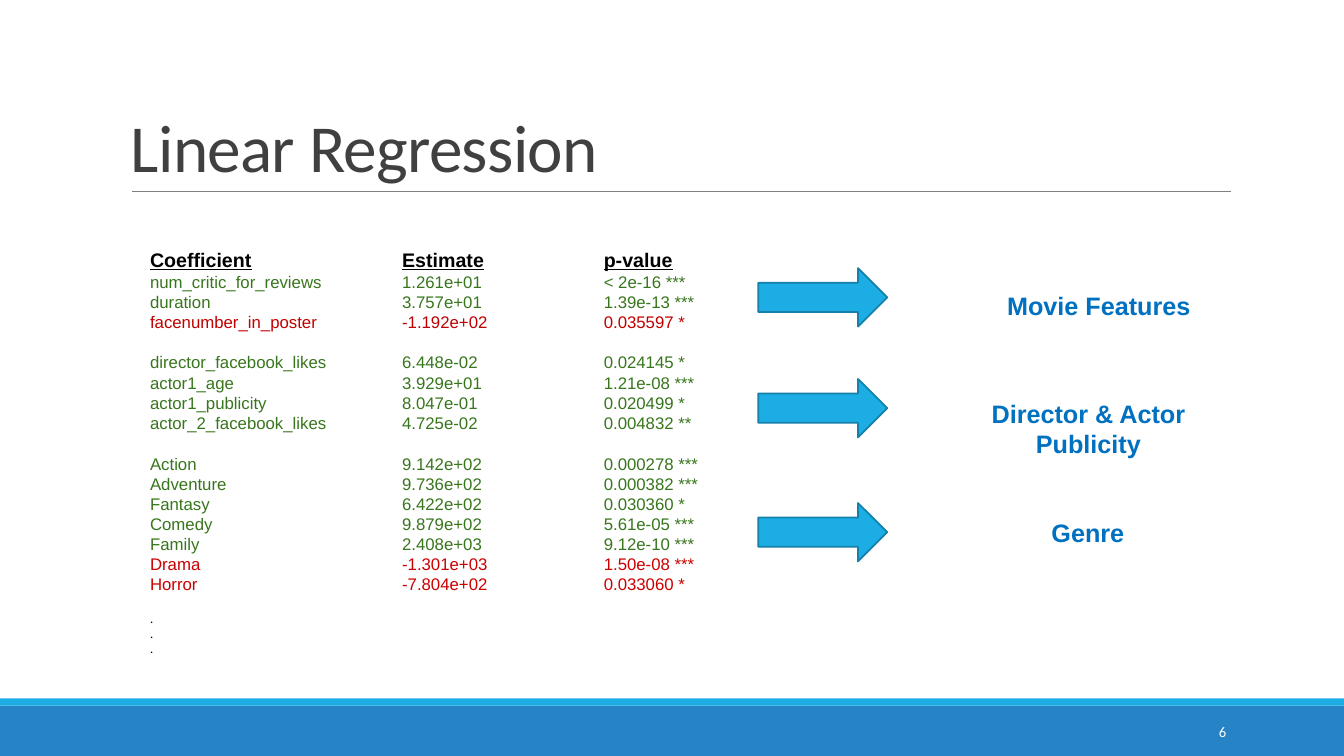
from lxml import etree
from pptx import Presentation
from pptx import util as u
from pptx.dml.color import RGBColor
from pptx.enum import shapes, text
from pptx.oxml import ns

COLORS = {
    "title": "404040", "rule": "808080", "header": "000000",
    "positive": "38761D", "negative": "C00000", "negative_genre": "CC0000",
    "label": "0070C0", "accent": "1CADE4", "accent_edge": "1580A9",
    "footer": "2683C6", "number": "FFFFFF",
}
FORMATS = {
    "title": {"name": "Calibri", "size": u.Pt(48)},
    "header": {"name": "Arial", "size": u.Pt(14), "bold": True, "underline": True},
    "row": {"name": "Arial", "size": u.Pt(12)},
    "dot": {"name": "Calibri", "size": u.Pt(9)},
    "label": {"name": "Arial", "size": u.Pt(18), "bold": True},
    "number": {"name": "Calibri", "size": u.Pt(10.5)},
}
HEADER = ("Coefficient", "Estimate", "p-value")
GROUPS = [
    [("num_critic_for_reviews", "1.261e+01", "< 2e-16 ***"),
     ("duration", "3.757e+01", "1.39e-13 ***"),
     ("facenumber_in_poster", "-1.192e+02", "0.035597 *")],
    [("director_facebook_likes", "6.448e-02", "0.024145 *"),
     ("actor1_age", "3.929e+01", "1.21e-08 ***"),
     ("actor1_publicity", "8.047e-01", "0.020499 *"),
     ("actor_2_facebook_likes", "4.725e-02", "0.004832 **")],
    [("Action", "9.142e+02", "0.000278 ***"),
     ("Adventure", "9.736e+02", "0.000382 ***"),
     ("Fantasy", "6.422e+02", "0.030360 *"),
     ("Comedy", "9.879e+02", "5.61e-05 ***"),
     ("Family", "2.408e+03", "9.12e-10 ***"),
     ("Drama", "-1.301e+03", "1.50e-08 ***"),
     ("Horror", "-7.804e+02", "0.033060 *")],
]
NEGATIVE_COLORS = ("negative", "negative", "negative_genre")
COLUMN_STOPS = (2.5, 4.5)
CATEGORIES = [
    (2.66, "Movie Features", (9.89, 2.83, 2.39, 0.4), text.PP_ALIGN.LEFT),
    (3.76, "Director & Actor Publicity", (9.6, 3.9, 2.39, 0.71), text.PP_ALIGN.CENTER),
    (4.99, "Genre", (10.33, 5.08, 2.39, 0.4), text.PP_ALIGN.LEFT),
]


def color(name):
    return RGBColor.from_string(COLORS[name])


def inches(box):
    return [u.Inches(length) for length in box]


def add_box(page, box, anchor=text.MSO_ANCHOR.TOP):
    frame = page.shapes.add_textbox(*inches(box)).text_frame
    frame.word_wrap = True
    frame.vertical_anchor = anchor
    return frame


def write(para, words, style, color_name, **layout):
    for key, value in layout.items():
        setattr(para, key, value)
    span = para.add_run()
    span.text = words
    for key, value in FORMATS[style].items():
        setattr(span.font, key, value)
    span.font.color.rgb = color(color_name)
    return span


def add_filled(page, kind, box, fill, edge=None):
    shape = page.shapes.add_shape(kind, *inches(box))
    shape.shadow.inherit = False
    shape.fill.solid()
    shape.fill.fore_color.rgb = color(fill)
    if edge:
        shape.line.color.rgb = color(edge)
        shape.line.width = u.Pt(1.25)
    else:
        shape.line.fill.background()


def add_footer(page, box):
    left, top, width, height = box
    strip = 0.07
    add_filled(page, shapes.MSO_SHAPE.RECTANGLE,
               (left, top + strip, width, height - strip), "footer")
    add_filled(page, shapes.MSO_SHAPE.RECTANGLE, (left, top, width, strip), "accent")
    frame = add_box(page, (left + 10.83, top + 0.13, 1.43, 0.4), text.MSO_ANCHOR.MIDDLE)
    write(frame.paragraphs[0], "6", "number", "number", alignment=text.PP_ALIGN.RIGHT)


def add_title(page, box):
    left, top, width, height = box
    bottom = top + height
    rule = page.shapes.add_connector(
        shapes.MSO_CONNECTOR.STRAIGHT,
        *inches((left + 0.11, bottom, left + width + 0.01, bottom)))
    rule.line.color.rgb = color("rule")
    rule.line.width = u.Pt(0.5)
    etree.SubElement(rule._element.spPr, ns.qn("a:effectLst"))
    frame = add_box(page, box, text.MSO_ANCHOR.BOTTOM)
    span = write(frame.paragraphs[0], "Linear Regression", "title", "title",
                 line_spacing=0.85)
    span._r.get_or_add_rPr().set("spc", "-50")


def add_column_stops(para):
    stops = etree.SubElement(para._p.get_or_add_pPr(), ns.qn("a:tabLst"))
    for position in COLUMN_STOPS:
        etree.SubElement(stops, ns.qn("a:tab"), pos=str(u.Inches(position)), algn="l")


def add_coefficients(page, box):
    frame = add_box(page, box)
    header = frame.paragraphs[0]
    add_column_stops(header)
    for index, heading in enumerate(HEADER):
        if index:
            gap = write(header, "\t", "header", "header")
            gap.font.underline = False
        write(header, heading, "header", "header", line_spacing=u.Pt(16))
    for group_index, group in enumerate(GROUPS):
        for row_index, row in enumerate(group):
            para = frame.add_paragraph()
            add_column_stops(para)
            negative = row[1].startswith("-")
            shade = NEGATIVE_COLORS[group_index] if negative else "positive"
            starts_group = group_index and not row_index
            write(para, "\t".join(row), "row", shade, line_spacing=u.Pt(14.4),
                  space_before=u.Pt(14.6 if starts_group else 0))
    for index in range(3):
        write(frame.add_paragraph(), ".", "dot", "header", line_spacing=u.Pt(10.8),
              space_before=u.Pt(0 if index else 11.5))


def add_categories(page, arrow_left):
    for arrow_top, label, label_box, alignment in CATEGORIES:
        add_filled(page, shapes.MSO_SHAPE.RIGHT_ARROW,
                   (arrow_left, arrow_top, 1.28, 0.58), "accent", "accent_edge")
        frame = add_box(page, label_box)
        write(frame.paragraphs[0], label, "label", "label", alignment=alignment)


def main():
    deck = Presentation()
    deck.slide_width, deck.slide_height = inches((13.33, 7.5))
    page = deck.slides.add_slide(deck.slide_layouts[6])
    add_footer(page, (0, 6.93, 13.33, 0.57))
    add_title(page, (1.2, 0.31, 11, 1.59))
    add_coefficients(page, (1.39, 2.42, 6.1, 4.4))
    add_categories(page, 7.52)
    deck.save("out.pptx")


if __name__ == "__main__":
    main()
